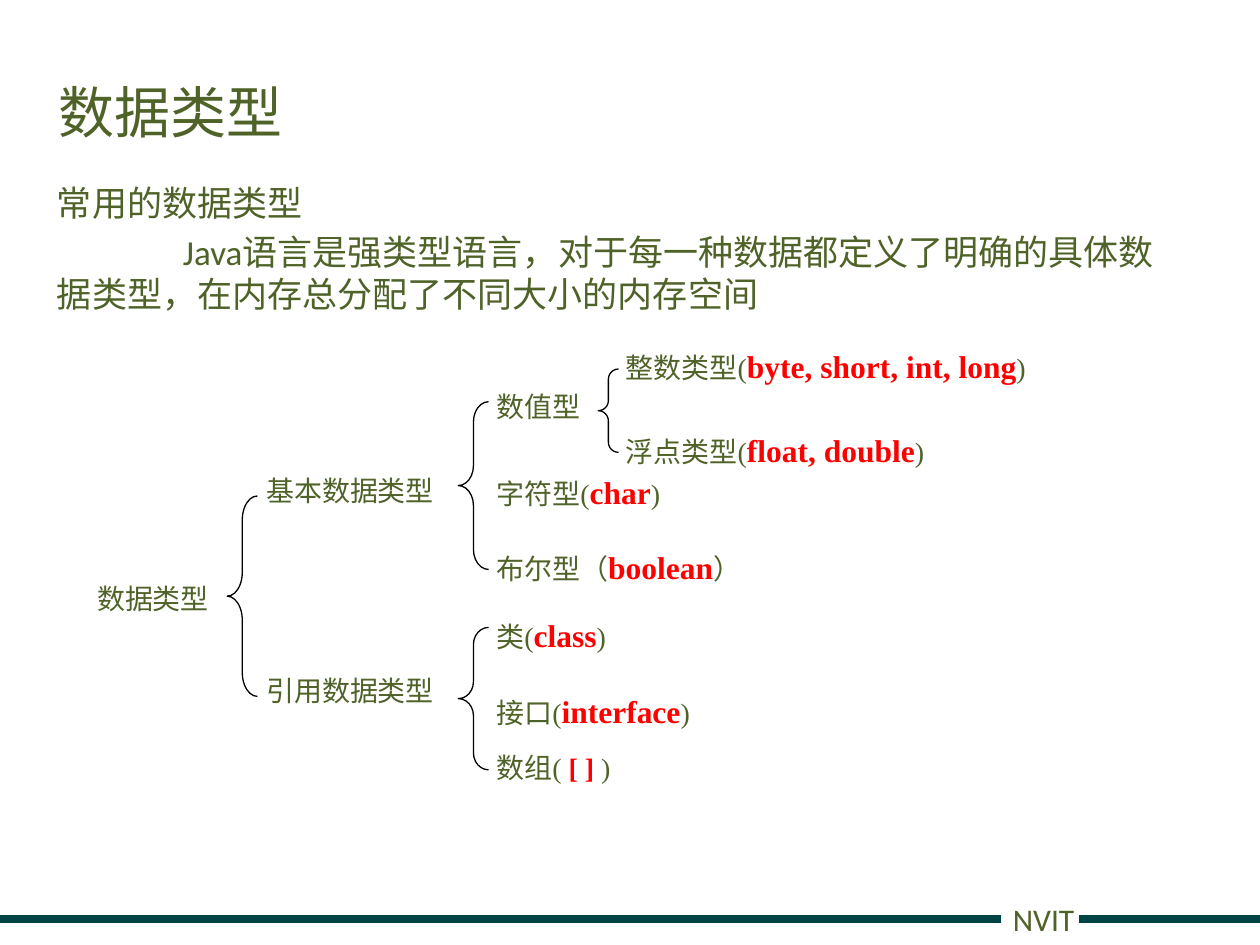
from lxml import etree
from pptx import Presentation
from pptx.dml.color import RGBColor
from pptx.enum.shapes import MSO_CONNECTOR, MSO_SHAPE
from pptx.enum.text import MSO_ANCHOR, MSO_AUTO_SIZE, PP_ALIGN
from pptx.oxml.ns import qn
from pptx.util import Cm, Pt

STRAIGHT = MSO_CONNECTOR.STRAIGHT
LEFT_BRACE = MSO_SHAPE.LEFT_BRACE
TOP, MIDDLE = MSO_ANCHOR.TOP, MSO_ANCHOR.MIDDLE
LEFT, JUSTIFY = PP_ALIGN.LEFT, PP_ALIGN.JUSTIFY
NO_AUTOSIZE = MSO_AUTO_SIZE.NONE

GREEN, RED, TEAL, BLACK = "4F6228", "FF0000", "004545", "000000"
SANS, SERIF = "Calibri", "Times New Roman"

HEADING = "数据类型"
INTRO = [
    ("常用的数据类型", 0),
    ("Java语言是强类型语言\uff0c对于每一种数据都定义了明确的具体数据类型\uff0c"
     "在内存总分配了不同大小的内存空间", 2.54),
]
FOOTER = "NVIT"
FOOTER_RULES = [(0, 20.17), (21.76, 25.4)]
FOOTER_Y = 18.53

COLUMN_X = [1.81, 5.22, 9.86, 12.47]
TREE = [
    (0, 11.64, 4.22, "数据类型", "", "", 16),
    (1, 9.46, 4.24, "基本数据类型", "", "", 16),
    (1, 13.49, 4.24, "引用数据类型", "", "", 16),
    (2, 7.77, 2.41, "数值型", "", "", 16),
    (2, 9.45, 4.83, "字符型(", "char", ")", 18),
    (2, 10.97, 6.35, "布尔型\uff08", "boolean", "\uff09", 18),
    (2, 12.34, 4.01, "类(", "class", ")", 18),
    (2, 13.87, 4.83, "接口(", "interface", ")", 18),
    (2, 15.05, 4.83, "数组( ", "[ ]", " )", 16),
    (3, 6.92, 8.64, "整数类型(", "byte, short, int, long", ")", 18),
    (3, 8.61, 6.96, "浮点类型(", "float, double", ")", 18),
]
BRACES = [
    (4.58, 10.0, 0.61, 4.04, 0.79),
    (9.24, 8.1, 0.61, 3.38, 0.66),
    (9.24, 12.65, 0.61, 2.87, 0.56),
    (12.06, 7.44, 0.41, 1.68, 0.5),
]


def colour(value):
    return RGBColor.from_string(value)


def add_run(paragraph, text, size, font, shade=GREEN, bold=False):
    run = paragraph.add_run()
    run.text = text
    run.font.size = Pt(size)
    run.font.name = font
    run.font.bold = bold
    run.font.color.rgb = colour(shade)


def set_frame(frame, inset_x=0.25, inset_y=0.13, anchor=TOP, wrap=True):
    frame.word_wrap = wrap
    frame.auto_size = NO_AUTOSIZE
    frame.vertical_anchor = anchor
    frame.margin_left = frame.margin_right = Cm(inset_x)
    frame.margin_top = frame.margin_bottom = Cm(inset_y)
    return frame


def add_text_frame(x, y, width, height, **settings):
    box = slide.shapes.add_textbox(Cm(x), Cm(y), Cm(width), Cm(height))
    return set_frame(box.text_frame, **settings)


prs = Presentation()
prs.slide_width, prs.slide_height = Cm(25.4), Cm(19.05)
slide = prs.slides.add_slide(prs.slide_layouts[5])

for start, end in FOOTER_RULES:
    rule = slide.shapes.add_connector(
        STRAIGHT, Cm(start), Cm(FOOTER_Y), Cm(end), Cm(FOOTER_Y))
    rule.line.color.rgb = colour(TEAL)
    rule.line.width = Pt(4.5)
    etree.SubElement(rule._element.spPr, qn("a:effectLst"))

footer = add_text_frame(20.17, 18.01, 1.6, 1.02, wrap=False)
add_run(footer.paragraphs[0], FOOTER, 18, SANS)

title = slide.shapes.title
title.left, title.top, title.width, title.height = Cm(0.93), Cm(1.02), Cm(16.71), Cm(2.46)
heading = set_frame(title.text_frame, anchor=MIDDLE).paragraphs[0]
heading.alignment = LEFT
add_run(heading, HEADING, 32, SANS)

intro = add_text_frame(0.9, 3.53, 23.32, 14)
for index, (text, first_line_indent) in enumerate(INTRO):
    paragraph = intro.add_paragraph() if index else intro.paragraphs[0]
    paragraph.space_before = Pt(4)
    paragraph._p.get_or_add_pPr().set("indent", str(Cm(first_line_indent)))
    add_run(paragraph, text, 20, SANS)

for column, y, width, label, keyword, closing, keyword_size in TREE:
    node = add_text_frame(COLUMN_X[column], y, width, 0.05 * keyword_size + 0.02,
                          inset_x=0.15, inset_y=0.08).paragraphs[0]
    node.alignment = JUSTIFY
    add_run(node, label, 16, SERIF)
    if keyword:
        add_run(node, keyword, keyword_size, SERIF, RED, True)
        add_run(node, closing, 16, SERIF)

for x, y, width, height, curve in BRACES:
    brace = slide.shapes.add_shape(LEFT_BRACE, Cm(x), Cm(y), Cm(width), Cm(height))
    brace.adjustments[0] = curve
    brace.adjustments[1] = 0.5
    brace.shadow.inherit = False
    brace.fill.background()
    brace.line.color.rgb = colour(BLACK)
    brace.line.width = Pt(0.75)

prs.save("out.pptx")
